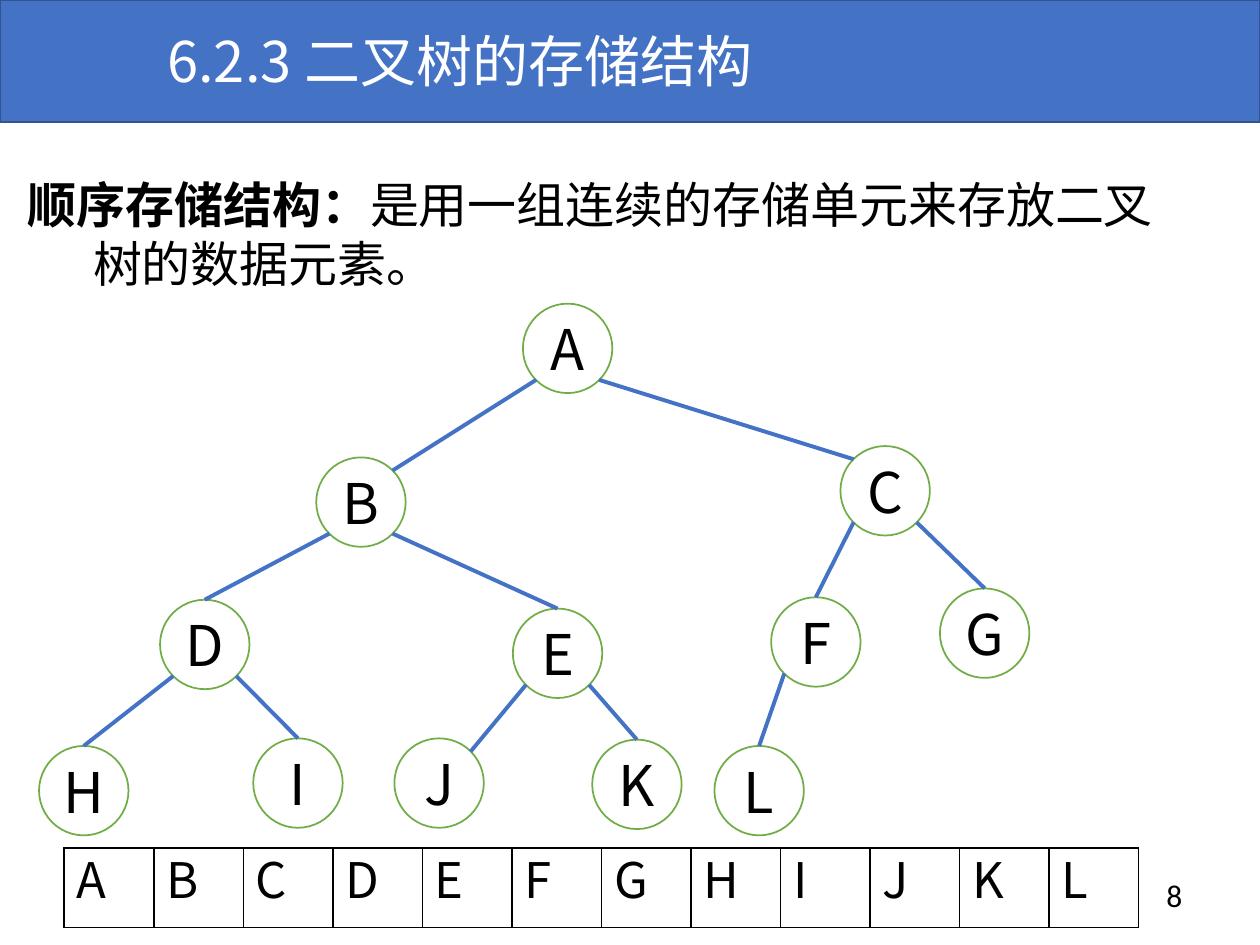
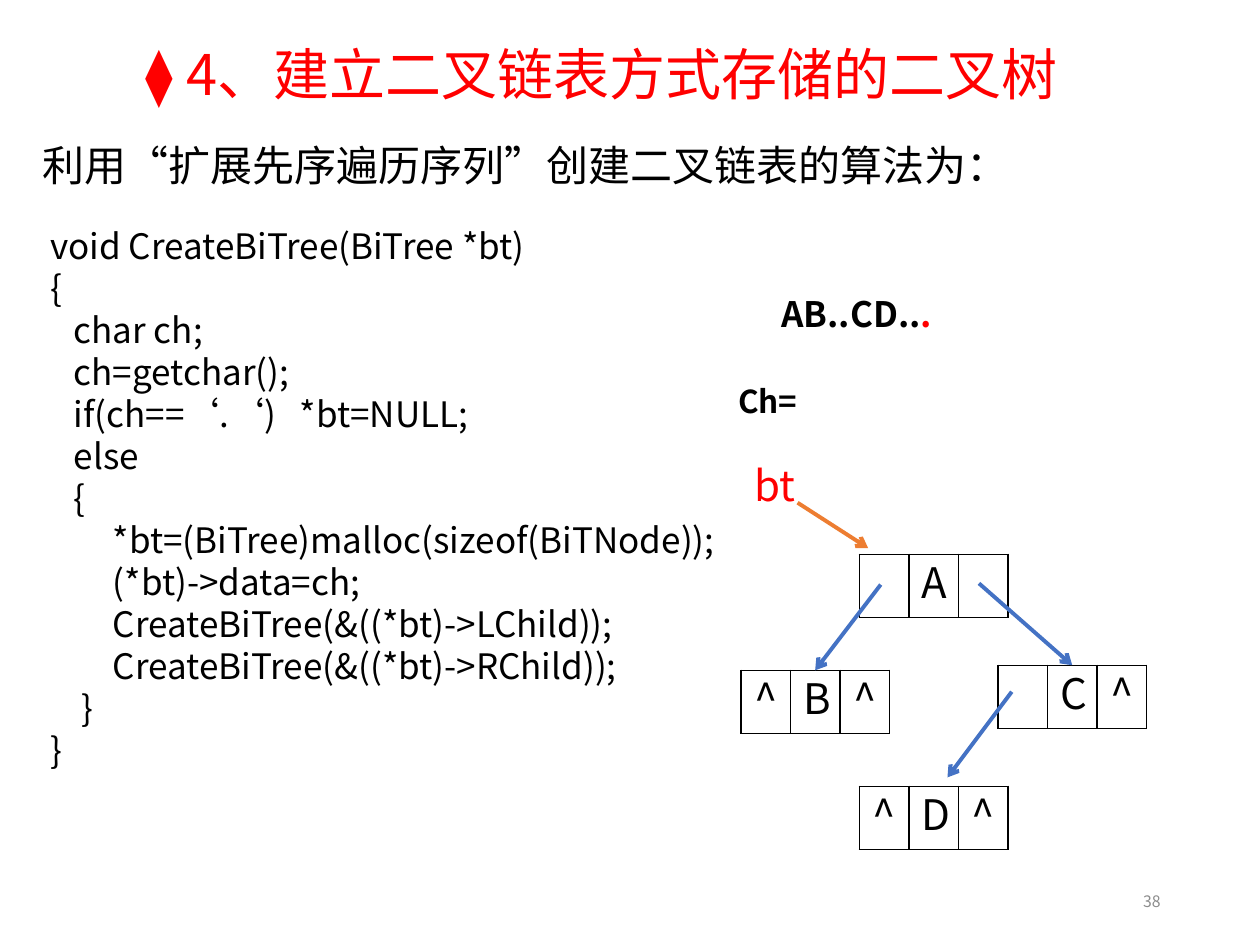
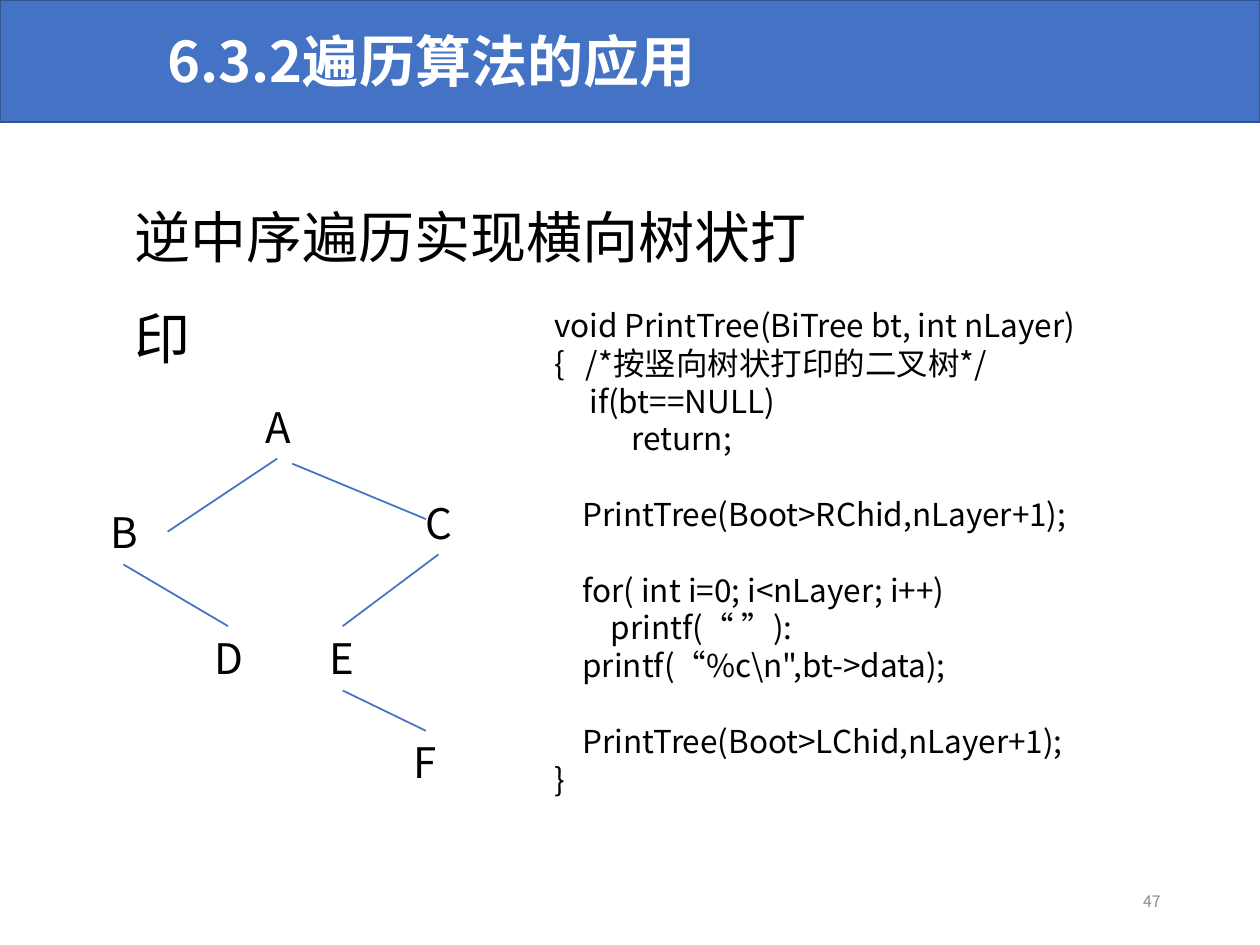
from lxml.etree import SubElement
from pptx import Presentation
from pptx.dml.color import RGBColor
from pptx.enum.shapes import MSO_CONNECTOR, MSO_SHAPE
from pptx.enum.text import MSO_ANCHOR, PP_ALIGN
from pptx.oxml.ns import qn
from pptx.util import Inches, Pt

FONT = "Noto Sans CJK SC"
BLACK, WHITE, RED, GRAY = "000000", "FFFFFF", "FF0000", "8C8C8C"
BLUE, DARK_BLUE, GREEN, ORANGE = "4472C4", "325491", "70AD47", "ED7D31"
LINE_HEIGHT = 1.2

NODE_SIZE = 0.71
DIAGONAL = 0.25
NODES = {
    "A": (4.15, 2.41), "B": (2.51, 3.63), "C": (6.67, 3.54),
    "D": (1.27, 4.76), "E": (4.07, 4.83), "F": (6.12, 4.74),
    "G": (7.46, 4.67), "H": (0.31, 5.92), "I": (2.01, 5.86),
    "J": (3.13, 5.86), "K": (4.7, 5.87), "L": (5.67, 5.92),
}
CHILDREN = {"A": "BC", "B": "DE", "C": "FG", "D": "HI", "E": "JK", "F": "L"}
JOINED_AT_CORNER = "BCJ"

CREATE_CODE = [
    "void CreateBiTree(BiTree *bt)",
    "{",
    "   char ch;",
    "   ch=getchar();",
    "   if(ch==‘.‘)   *bt=NULL;",
    "   else",
    "   {",
    "        *bt=(BiTree)malloc(sizeof(BiTNode));",
    "        (*bt)->data=ch;",
    "        CreateBiTree(&((*bt)->LChild));",
    "        CreateBiTree(&((*bt)->RChild));",
    "    }",
    "}",
]
LINKED_NODES = [
    (6.82, 4.4, ["", "A", ""]),
    (5.88, 5.32, ["^", "B", "^"]),
    (7.92, 5.28, ["", "C", "^"]),
    (6.82, 6.24, ["^", "D", "^"]),
]
POINTERS = [
    ((6.33, 3.99), (6.89, 4.35), ORANGE),
    ((6.99, 4.64), (6.47, 5.32), BLUE),
    ((7.77, 4.63), (8.51, 5.28), BLUE),
    ((8.03, 5.49), (7.52, 6.17), BLUE),
]

PRINT_CODE = [
    "void PrintTree(BiTree bt, int nLayer)",
    "{   /*按竖向树状打印的二叉树*/",
    "     if(bt==NULL)",
    "           return;",
    "    PrintTree(Boot>RChid,nLayer+1);",
    "    for( int i=0; i<nLayer; i++)",
    "        printf(“ ”):",
    r'    printf(“%c\n",bt->data);',
    "    PrintTree(Boot>LChid,nLayer+1);",
    "}",
]
PRINT_CODE_GAPS = (4, 5, 8)
LETTERS = {
    "A": (1.86, 3.14), "B": (0.64, 3.97), "C": (3.14, 3.9),
    "D": (1.47, 4.97), "E": (2.37, 4.97), "F": (3.03, 5.8),
}
BRANCHES = [
    ((2.2, 3.64), (1.33, 4.22)),
    ((2.32, 3.68), (3.38, 4.12)),
    ((0.98, 4.48), (1.81, 4.97)),
    ((3.48, 4.4), (2.72, 4.97)),
    ((2.72, 5.48), (3.38, 5.8)),
]


def color(value):
    return RGBColor.from_string(value)


def write(frame, text, size=24, fill=BLACK, bold=False, align=PP_ALIGN.LEFT,
          spacing=1, font=FONT, gaps=(), hanging=0):
    lines = text if isinstance(text, list) else [text]
    for index, line in enumerate(lines):
        paragraph = frame.paragraphs[0] if index == 0 else frame.add_paragraph()
        paragraph.alignment = align
        paragraph.line_spacing = Pt(size * LINE_HEIGHT * spacing)
        if index in gaps:
            paragraph.space_before = Pt(size * LINE_HEIGHT)
        if hanging:
            properties = paragraph._p.get_or_add_pPr()
            properties.set("marL", str(Inches(hanging)))
            properties.set("indent", str(-Inches(hanging)))
        parts = line if isinstance(line, tuple) else ((line, {}),)
        for words, changes in parts:
            run = paragraph.add_run()
            run.text = words
            run.font.name = font
            run.font.size = Pt(size)
            run.font.bold = changes.get("bold", bold)
            run.font.color.rgb = color(changes.get("fill", fill))
            SubElement(run._r.get_or_add_rPr(), qn("a:ea"), typeface=font)


def add_text(slide, text, left, top, width, height, anchor=MSO_ANCHOR.TOP, **style):
    box = slide.shapes.add_textbox(Inches(left), Inches(top), Inches(width), Inches(height))
    box.text_frame.word_wrap = True
    box.text_frame.vertical_anchor = anchor
    write(box.text_frame, text, **style)


def add_shape(slide, kind, left, top, width, height, fill, outline):
    shape = slide.shapes.add_shape(kind, Inches(left), Inches(top), Inches(width), Inches(height))
    shape.shadow.inherit = False
    shape.fill.solid()
    shape.fill.fore_color.rgb = color(fill)
    shape.line.color.rgb = color(outline)
    shape.line.width = Pt(1)
    return shape


def add_line(slide, start, end, stroke=BLUE, width=2.25, arrow=False):
    points = [Inches(value) for value in (*start, *end)]
    connector = slide.shapes.add_connector(MSO_CONNECTOR.STRAIGHT, *points)
    connector.line.color.rgb = color(stroke)
    connector.line.width = Pt(width)
    if arrow:
        SubElement(connector.line._get_or_add_ln(), qn("a:tailEnd"), type="arrow")
    SubElement(connector._element.spPr, qn("a:effectLst"))
    return connector


def add_cells(slide, values, left, top, width, height, **style):
    frame = slide.shapes.add_table(1, len(values), Inches(left), Inches(top),
                                   Inches(width), Inches(height))
    table = frame.table
    table.first_row = table.horz_banding = False
    for column, value in enumerate(values):
        cell = table.cell(0, column)
        properties = cell._tc.get_or_add_tcPr()
        for side in ("a:lnL", "a:lnR", "a:lnT", "a:lnB"):
            border = SubElement(properties, qn(side), w=str(Pt(1)))
            SubElement(SubElement(border, qn("a:solidFill")), qn("a:srgbClr"), val=BLACK)
        cell.fill.background()
        if value:
            write(cell.text_frame, value, **style)


def add_band(slide, title, bold=False):
    add_shape(slide, MSO_SHAPE.RECTANGLE, 0, 0, 10, 0.97, BLUE, DARK_BLUE)
    add_text(slide, title, 1.23, 0.16, 6.97, 0.64, size=32, fill=WHITE, bold=bold)


def add_page_number(slide, number):
    add_text(slide, number, 7.06, 6.95, 2.25, 0.4, anchor=MSO_ANCHOR.MIDDLE,
             size=9, fill=GRAY, align=PP_ALIGN.RIGHT)


def add_tree(slide):
    circles = {}
    for letter, (left, top) in NODES.items():
        circle = add_shape(slide, MSO_SHAPE.OVAL, left, top, NODE_SIZE, NODE_SIZE, WHITE, GREEN)
        frame = circle.text_frame
        frame.margin_left = frame.margin_right = 0
        frame.vertical_anchor = MSO_ANCHOR.MIDDLE
        write(frame, letter, size=32, align=PP_ALIGN.CENTER)
        circles[letter] = circle
    centers = {letter: (left + NODE_SIZE / 2, top + NODE_SIZE / 2)
               for letter, (left, top) in NODES.items()}
    for parent, children in CHILDREN.items():
        parent_x, parent_y = centers[parent]
        for child, side in zip(children, (-1, 1)):
            x, y = centers[child]
            start = (parent_x + side * DIAGONAL, parent_y + DIAGONAL)
            end = (x - side * DIAGONAL, y - DIAGONAL)
            edge = add_line(slide, start, end)
            if child not in JOINED_AT_CORNER:
                edge.end_connect(circles[child], 0)


def build_storage(slide):
    add_band(slide, "6.2.3 二叉树的存储结构")
    definition = (("顺序存储结构：", {"bold": True}),
                  ("是用一组连续的存储单元来存放二叉树的数据元素。", {}))
    add_text(slide, [definition], 0.12, 1.34, 9.32, 1.04, size=28, hanging=0.52)
    add_tree(slide)
    add_cells(slide, list(NODES), 0.51, 6.73, 8.53, 0.63, size=28)
    add_text(slide, "8", 9.16, 6.9, 0.8, 0.4, size=18, font="Calibri")


def build_creation(slide):
    add_text(slide, "⧫ 4、建立二叉链表方式存储的二叉树", 1.06, 0, 7.66, 0.81,
             size=32, fill=RED, spacing=1.5)
    add_text(slide, "利用“扩展先序遍历序列”创建二叉链表的算法为：", 0.24, 1.06, 7.9, 0.5)
    add_text(slide, CREATE_CODE, 0.3, 1.73, 5.83, 4.48, size=20)
    sequence = (("AB..CD..", {}), (".", {"fill": RED}))
    add_text(slide, [sequence], 6.1, 2.27, 2.11, 0.44, size=20, bold=True)
    add_text(slide, "Ch=", 5.76, 2.98, 1.04, 0.4, size=18, bold=True)
    add_text(slide, "bt", 5.89, 3.6, 0.54, 0.5, fill=RED)
    for left, top, fields in LINKED_NODES:
        add_cells(slide, fields, left, top, 1.18, 0.5, align=PP_ALIGN.CENTER)
    for start, end, stroke in POINTERS:
        add_line(slide, start, end, stroke, arrow=True)
    add_page_number(slide, "38")


def build_printing(slide):
    add_band(slide, "6.3.2遍历算法的应用", bold=True)
    add_text(slide, "逆中序遍历实现横向树状打印", 0.97, 1.29, 5.9, 1.7, size=32, spacing=1.5)
    add_text(slide, PRINT_CODE, 4.3, 2.38, 4.92, 4.04, size=18, gaps=PRINT_CODE_GAPS)
    for start, end in BRANCHES:
        add_line(slide, start, end, width=1)
    for letter, (left, top) in LETTERS.items():
        add_text(slide, letter, left, top, 0.69, 0.5, align=PP_ALIGN.CENTER)
    add_page_number(slide, "47")


def main():
    presentation = Presentation()
    presentation.slide_width = Inches(10)
    presentation.slide_height = Inches(7.5)
    for build in (build_storage, build_creation, build_printing):
        build(presentation.slides.add_slide(presentation.slide_layouts[6]))
    presentation.save("out.pptx")


if __name__ == "__main__":
    main()
